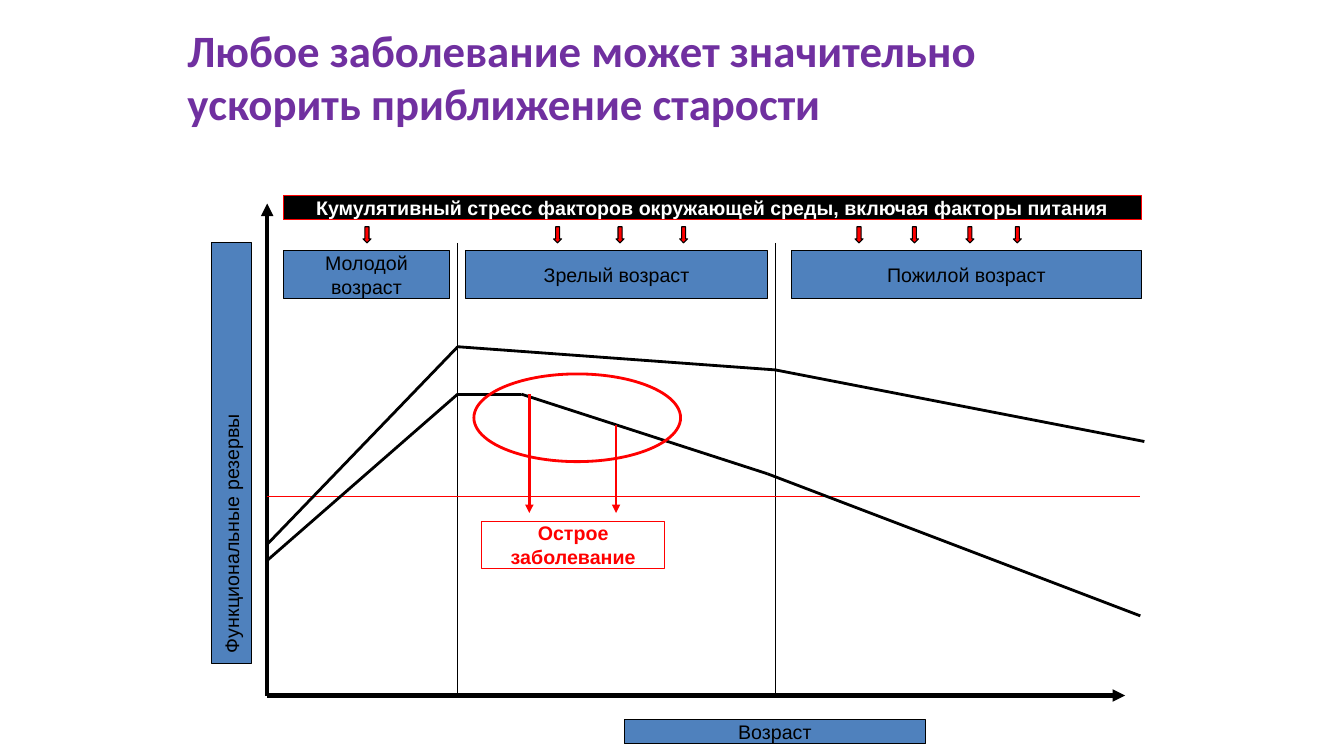
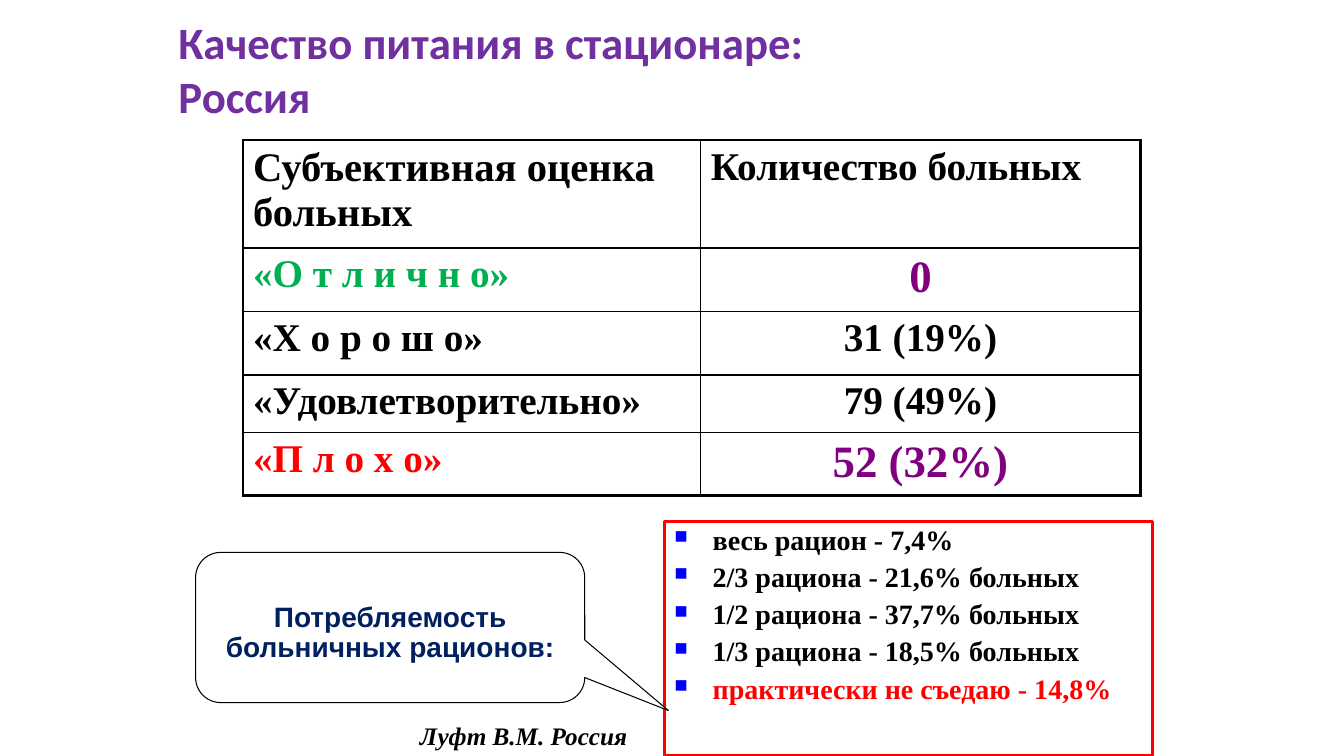
from dataclasses import dataclass
from itertools import pairwise

from lxml import etree
from pptx import Presentation
from pptx import util as u
from pptx.dml.color import RGBColor
from pptx.enum import shapes, text
from pptx.oxml import ns

BLACK = RGBColor(0x00, 0x00, 0x00)
WHITE = RGBColor(0xFF, 0xFF, 0xFF)
RED = RGBColor(0xFF, 0x00, 0x00)
BLUE = RGBColor(0x4F, 0x81, 0xBD)
NAVY = RGBColor(0x00, 0x20, 0x60)
BULLET_BLUE = RGBColor(0x00, 0x00, 0xFF)
GREEN = RGBColor(0x00, 0xB0, 0x50)
PURPLE = RGBColor(0x80, 0x00, 0x80)
TITLE_PURPLE = RGBColor(0x70, 0x30, 0xA0)

SERIF = "Times New Roman"
SANS = "Arial"
TITLE_FONT = "Calibri"

LEFT, CENTER, RIGHT = text.PP_ALIGN.LEFT, text.PP_ALIGN.CENTER, text.PP_ALIGN.RIGHT
TOP, MIDDLE = text.MSO_ANCHOR.TOP, text.MSO_ANCHOR.MIDDLE
PRESET = shapes.MSO_SHAPE


@dataclass
class Box:
    """A rectangle on the slide, in inches."""
    left: float
    top: float
    width: float
    height: float

    def inner(self, left, top, width, height):
        """Return a box placed relative to this one."""
        return Box(self.left + left, self.top + top, width, height)

    def point(self, across, down):
        """Return a point placed relative to this box."""
        return self.left + across, self.top + down

    def lengths(self):
        """Return the box as slide lengths."""
        return [u.Inches(value) for value in (self.left, self.top, self.width, self.height)]


def add_element(parent, tag, **attributes):
    """Append a drawing element to a parent element."""
    element = etree.SubElement(parent, ns.qn(tag))
    for name, value in attributes.items():
        element.set(name, str(value))
    return element


def style_paragraph(paragraph, font, size, color, align=LEFT, bold=False, italic=False):
    """Set the alignment and font of a paragraph."""
    paragraph.alignment = align
    paragraph.font.name = font
    paragraph.font.size = u.Pt(size)
    paragraph.font.color.rgb = color
    paragraph.font.bold = bold
    paragraph.font.italic = italic


def write(frame, words, anchor=MIDDLE, **style):
    """Write lines of text into a wrapping frame in one style."""
    frame.word_wrap = True
    frame.vertical_anchor = anchor
    frame.text = words
    for paragraph in frame.paragraphs:
        style_paragraph(paragraph, **style)


def add_text(slide, box, words, **style):
    """Add a plain text box."""
    frame = slide.shapes.add_textbox(*box.lengths()).text_frame
    write(frame, words, **style)


def add_title(slide, box, words):
    """Add the slide title."""
    add_text(slide, box, words, font=TITLE_FONT, size=32, color=TITLE_PURPLE, bold=True)


def add_figure(slide, preset, box, fill=None, line=BLACK, width=0.75):
    """Add a preset shape with its fill and outline."""
    shape = slide.shapes.add_shape(preset, *box.lengths())
    shape.shadow.inherit = False
    if fill is None:
        shape.fill.background()
    else:
        shape.fill.solid()
        shape.fill.fore_color.rgb = fill
    shape.line.color.rgb = line
    shape.line.width = u.Pt(width)
    return shape


def add_label(slide, box, words, fill=BLUE, line=BLACK, color=BLACK, bold=False, align=CENTER):
    """Add a rectangle with a short label."""
    shape = add_figure(slide, PRESET.RECTANGLE, box, fill, line)
    frame = shape.text_frame
    frame.margin_top = frame.margin_bottom = 0
    write(frame, words, font=SANS, size=14, color=color, bold=bold, align=align)
    return shape


def add_line(slide, start, end, color=BLACK, width=0.75, arrow=False):
    """Add a straight line, with an arrowhead at its end if asked."""
    ends = [u.Inches(value) for value in (*start, *end)]
    connector = slide.shapes.add_connector(shapes.MSO_CONNECTOR.STRAIGHT, *ends)
    connector.line.color.rgb = color
    connector.line.width = u.Pt(width)
    if arrow:
        add_element(connector.line._get_or_add_ln(), "a:tailEnd", type="triangle")
    add_element(connector._element.spPr, "a:effectLst")


def add_axes(slide, box):
    """Draw the axes, their labels, the age boundaries and the threshold."""
    origin = box.point(0.55, 4.96)
    for end in (box.point(0.55, 0.08), box.point(9.06, 4.96)):
        add_line(slide, origin, end, width=3, arrow=True)
    for across in (2.44, 5.59):
        add_line(slide, box.point(across, 0.47), box.point(across, 4.96))
    add_line(slide, box.point(0.55, 2.99), box.point(9.21, 2.99), RED)
    add_label(slide, box.inner(4.09, 5.2, 2.99, 0.24), "Возраст")
    reserves = add_label(slide, box.inner(0, 0.47, 0.39, 4.17), "Функциональные резервы", align=LEFT)
    reserves.text_frame._txBody.bodyPr.set("vert", "vert270")
    reserves.text_frame.margin_left = reserves.text_frame.margin_right = 0
    reserves.text_frame.margin_bottom = u.Inches(0.1)


def add_stages(slide, box):
    """Place the stress bar, its small arrows and the stages of life."""
    add_label(slide, box.inner(0.71, 0, 8.51, 0.24),
              "Кумулятивный стресс факторов окружающей среды, включая факторы питания",
              fill=BLACK, line=RED, color=WHITE, bold=True)
    for across in (1.5, 3.39, 4.01, 4.64, 6.38, 6.93, 7.48, 7.95):
        add_figure(slide, PRESET.DOWN_ARROW, box.inner(across, 0.31, 0.08, 0.16), RED)
    stages = [(0.71, 1.65, "Молодой\nвозраст"),
              (2.52, 2.99, "Зрелый возраст"),
              (5.75, 3.47, "Пожилой возраст")]
    for across, width, words in stages:
        add_label(slide, box.inner(across, 0.55, width, 0.47), words)


def add_curves(slide, box):
    """Draw both reserve curves and mark the acute disease."""
    normal = [(0.55, 3.46), (2.44, 1.5), (5.59, 1.73), (9.25, 2.44)]
    diseased = [(0.55, 3.62), (2.44, 1.97), (3.07, 1.97), (5.51, 2.76), (9.21, 4.17)]
    for curve in (normal, diseased):
        for start, end in pairwise(curve):
            add_line(slide, box.point(*start), box.point(*end), width=2)
    for across, down in ((3.15, 1.97), (4.01, 2.28)):
        add_line(slide, box.point(across, down), box.point(across, 3.15), RED, 2, arrow=True)
    add_figure(slide, PRESET.OVAL, box.inner(2.6, 1.77, 2.05, 0.87), line=RED, width=2)
    add_label(slide, box.inner(2.68, 3.23, 1.81, 0.47), "Острое\nзаболевание",
              fill=None, line=RED, color=RED, bold=True)


def style_cell(cell, edges, words, **style):
    """Write a table cell and draw its four borders."""
    write(cell.text_frame, words, anchor=TOP, font=SERIF, bold=True, **style)
    properties = cell._tc.get_or_add_tcPr()
    for tag, outer in edges.items():
        border = add_element(properties, tag, w=u.Pt(2.25 if outer else 1))
        add_element(add_element(border, "a:solidFill"), "a:srgbClr", val=BLACK)
    cell.fill.background()


def add_ratings(slide, box):
    """Add the table of patient ratings."""
    rows = [[("Субъективная оценка больных", 29, BLACK), ("Количество больных", 28, BLACK)],
            [("«О т л и ч н о»", 28, GREEN), ("0", 32, PURPLE)],
            [("«Х о р о ш о»", 28, BLACK), ("31 (19%)", 28, BLACK)],
            [("«Удовлетворительно»", 28, BLACK), ("79 (49%)", 28, BLACK)],
            [("«П л о х о»", 28, RED), ("52 (32%)", 32, PURPLE)]]
    table = slide.shapes.add_table(len(rows), 2, *box.lengths()).table
    table.first_row = table.horz_banding = False
    for column, width in zip(table.columns, (4.54, 4.36)):
        column.width = u.Inches(width)
    for row, height in zip(table.rows, (1.07, 0.63, 0.63, 0.57, 0.63)):
        row.height = u.Inches(height)
    for r, row in enumerate(rows):
        for c, (words, size, color) in enumerate(row):
            edges = {"a:lnL": c == 0, "a:lnR": c == 1,
                     "a:lnT": r == 0, "a:lnB": r == len(rows) - 1}
            align = CENTER if r and c else LEFT
            style_cell(table.cell(r, c), edges, words, size=size, color=color, align=align)


def add_square_bullet(paragraph):
    """Give a paragraph a hanging square bullet."""
    properties = paragraph._p.get_or_add_pPr()
    properties.set("marL", str(u.Inches(0.38)))
    properties.set("indent", str(-u.Inches(0.38)))
    add_element(add_element(properties, "a:buClr"), "a:srgbClr", val=BULLET_BLUE)
    add_element(properties, "a:buSzPct", val=65000)
    add_element(properties, "a:buChar", char="■")


def add_portions(slide, box):
    """Add the framed list of how much patients eat."""
    frame = add_figure(slide, PRESET.RECTANGLE, box, line=RED, width=2.25).text_frame
    frame.word_wrap = True
    frame.vertical_anchor = TOP
    portions = ["весь рацион - 7,4%", "2/3 рациона - 21,6% больных",
                "1/2 рациона - 37,7% больных", "1/3 рациона - 18,5% больных",
                "практически не съедаю - 14,8%"]
    for index, words in enumerate(portions):
        paragraph = frame.add_paragraph() if index else frame.paragraphs[0]
        paragraph.text = words
        paragraph.line_spacing = 0.9
        if index:
            paragraph.space_before = u.Pt(5)
        add_square_bullet(paragraph)
        color = RED if words == portions[-1] else BLACK
        style_paragraph(paragraph, SERIF, 20, color, bold=True)


def add_callout(slide, box):
    """Add the callout that points at the list."""
    callout = add_figure(slide, PRESET.ROUNDED_RECTANGULAR_CALLOUT, box, WHITE)
    for index, value in enumerate((0.715, 0.553, 0.167)):
        callout.adjustments[index] = value
    frame = callout.text_frame
    frame.margin_top = u.Inches(0.16)
    write(frame, "Потребляемость больничных рационов:",
          font=SANS, size=20, color=NAVY, bold=True, align=CENTER)
    frame.paragraphs[0].line_spacing = 0.9


def build_ageing_slide(slide):
    """Build the slide on disease and ageing."""
    add_title(slide, Box(1.76, 0.13, 9.3, 1.25),
              "Любое заболевание может значительно ускорить приближение старости")
    diagram = Box(2.1, 1.94, 9.25, 5.44)
    for part in (add_axes, add_stages, add_curves):
        part(slide, diagram)


def build_nutrition_slide(slide):
    """Build the slide on hospital nutrition."""
    add_portions(slide, Box(6.59, 5.17, 4.84, 2.33))
    add_ratings(slide, Box(2.41, 1.39, 8.9, 3.53))
    add_title(slide, Box(1.67, 0.21, 8.15, 0.94), "Качество питания в стационаре:\nРоссия")
    add_text(slide, Box(1.67, 7.1, 4.65, 0.4), "Луфт В.М. Россия", anchor=TOP,
             font=SERIF, size=18, color=BLACK, bold=True, italic=True, align=RIGHT)
    add_callout(slide, Box(1.94, 5.48, 3.86, 1.49))


def main():
    """Build and save the presentation."""
    presentation = Presentation()
    presentation.slide_width = u.Inches(13.33)
    presentation.slide_height = u.Inches(7.5)
    for build in (build_ageing_slide, build_nutrition_slide):
        build(presentation.slides.add_slide(presentation.slide_layouts[6]))
    presentation.save("out.pptx")


if __name__ == "__main__":
    main()
